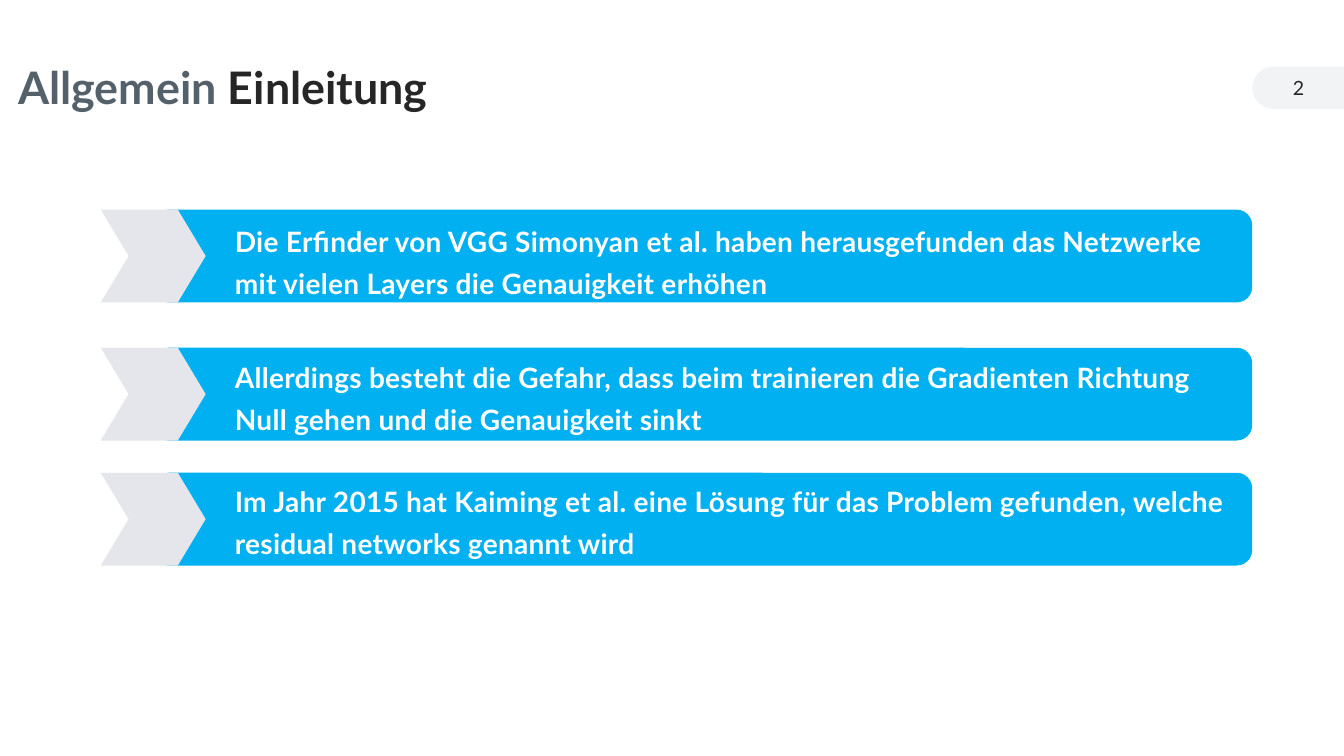
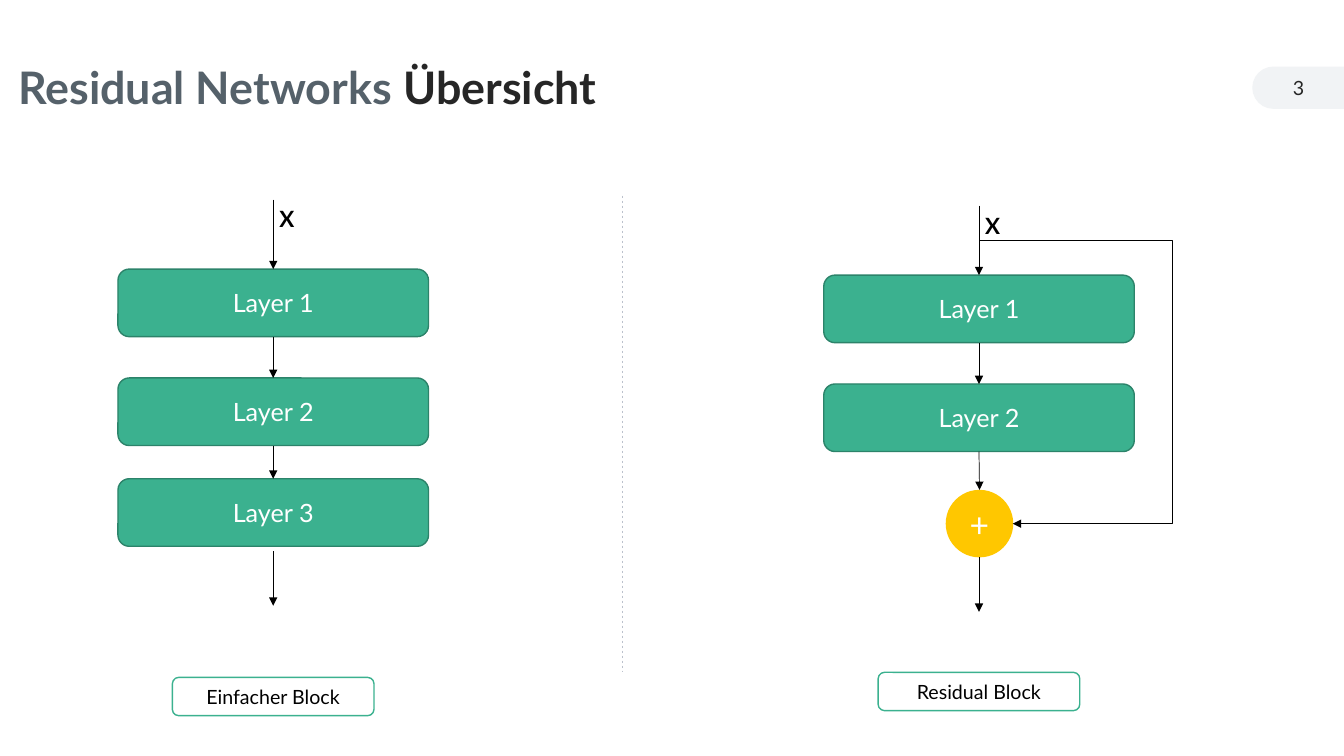
from dataclasses import dataclass

from lxml import etree
from pptx import Presentation
from pptx import util as u
from pptx.dml.color import RGBColor
from pptx.enum import dml, shapes, text
from pptx.oxml import ns

Kind = shapes.MSO_SHAPE
Anchor = text.MSO_ANCHOR
Align = text.PP_ALIGN


@dataclass(frozen=True)
class Theme:
    font: str = "Lato"
    # Colours
    white: str = "FFFFFF"
    black: str = "000000"
    ink: str = "262626"
    slate: str = "55616A"
    tab: str = "F1F3F5"
    bar: str = "00B0F0"
    chevron: str = "E4E6EB"
    layer: str = "3BB18F"
    layer_edge: str = "2C836A"
    plus: str = "FFC700"
    divider: str = "BBC1CC"
    # Type sizes
    title_size: int = 32
    plus_size: int = 24
    bar_size: int = 20
    layer_size: int = 18
    input_size: int = 16
    small_size: int = 14


def rgb(value):
    return RGBColor.from_string(value)


class SlideBuilder:
    """Holds the theme, the deck and the current page."""

    def __init__(self, theme):
        self.theme = theme
        self.deck = Presentation()
        self.deck.slide_width = u.Inches(13.33)
        self.deck.slide_height = u.Inches(7.5)
        self.page = None

    def new_page(self, number, topic, heading):
        theme = self.theme
        self.page = self.deck.slides.add_slide(self.deck.slide_layouts[6])
        # Page number tab, rounded on its left side only
        tab = self.shape(Kind.ROUND_2_SAME_RECTANGLE, 12.67, 0.41, 0.42, 0.92,
                         theme.tab, adjustments=(0.5, 0))
        tab.rotation = 270
        self.text_box(12.42, 0.67, 0.92, 0.4, [(str(number), theme.ink)],
                      theme.small_size, align=Align.CENTER)
        # Two-tone title
        self.text_box(0.18, 0.45, 8.65, 0.88,
                      [(topic + " ", theme.slate), (heading, theme.ink)],
                      theme.title_size, bold=True, spacing=0.9)

    def set_text(self, box, spans, size, bold=False, align=Align.LEFT,
                 spacing=1.0, tracking=None):
        frame = box.text_frame
        frame.word_wrap = True
        frame.vertical_anchor = Anchor.MIDDLE
        para = frame.paragraphs[0]
        para.alignment = align
        para.line_spacing = spacing
        font_format = {"name": self.theme.font, "size": u.Pt(size), "bold": bold}
        for words, colour in spans:
            span = para.add_run()
            span.text = words
            for name, value in font_format.items():
                setattr(span.font, name, value)
            span.font.color.rgb = rgb(colour)
            if tracking:
                span.font._element.set("spc", str(round(tracking * 100)))

    def text_box(self, left, top, width, height, spans, size, **style):
        box = self.page.shapes.add_textbox(
            *map(u.Inches, (left, top, width, height)))
        margins = {"margin_left": 0, "margin_right": 0,
                   "margin_top": 0.05, "margin_bottom": 0.05}
        for name, value in margins.items():
            setattr(box.text_frame, name, u.Inches(value))
        self.set_text(box, spans, size, **style)
        return box

    def shape(self, kind, left, top, width, height, fill, edge=None,
              adjustments=()):
        box = self.page.shapes.add_shape(
            kind, *map(u.Inches, (left, top, width, height)))
        box.shadow.inherit = False
        box.fill.solid()
        box.fill.fore_color.rgb = rgb(fill)
        if edge:
            box.line.color.rgb = rgb(edge)
            box.line.width = u.Pt(1)
        else:
            box.line.fill.background()
        for index, value in enumerate(adjustments):
            box.adjustments[index] = value
        return box

    def label(self, kind, left, top, width, height, words, size, fill,
              colour, edge=None):
        box = self.shape(kind, left, top, width, height, fill, edge)
        self.set_text(box, [(words, colour)], size, align=Align.CENTER)
        return box

    def line(self, start, end, colour, kind=shapes.MSO_CONNECTOR.STRAIGHT):
        line = self.page.shapes.add_connector(
            kind, *map(u.Inches, (*start, *end)))
        line.line.color.rgb = rgb(colour)
        line.line.width = u.Pt(0.5)
        etree.SubElement(line._element.spPr, ns.qn("a:effectLst"))
        return line

    def arrow(self, start, end, **options):
        arrow = self.line(start, end, self.theme.black, **options)
        outline = arrow._element.spPr.find(ns.qn("a:ln"))
        etree.SubElement(outline, ns.qn("a:tailEnd"), type="triangle")
        return arrow

    def divider(self, x, top, bottom):
        line = self.line((x, top), (x, bottom), self.theme.divider)
        line.line.dash_style = dml.MSO_LINE.DASH

    def bar(self, top, text_top, words):
        theme = self.theme
        self.shape(Kind.ROUNDED_RECTANGLE, 1.52, top, 10.9, 0.92, theme.bar)
        self.shape(Kind.CHEVRON, 1, top, 1.04, 0.92, theme.chevron,
                   adjustments=(0.3,))
        self.text_box(2.33, text_top, 9.86, 0.94, [(words, theme.white)],
                      theme.bar_size, bold=True, spacing=1.25, tracking=0.2)

    def layer(self, centre, top, number):
        theme = self.theme
        return self.label(Kind.ROUNDED_RECTANGLE, centre - 1.54, top, 3.08, 0.67,
                          f"Layer {number}", theme.layer_size, theme.layer,
                          theme.white, theme.layer_edge)

    def plus(self, centre, top):
        theme = self.theme
        return self.label(Kind.OVAL, centre - 0.33, top, 0.67, 0.67, "+",
                          theme.plus_size, theme.plus, theme.white)

    def block(self, centre, top, steps, exit_top, caption, caption_top):
        """Input arrow, linked steps, output arrow and caption."""
        theme = self.theme
        self.arrow((centre, top), (centre, top + 0.69)).end_connect(steps[0], 0)
        for upper, lower in zip(steps, steps[1:]):
            link = self.arrow((centre, top), (centre, top + 1))
            link.begin_connect(upper, 2)
            link.end_connect(lower, 0)
        self.arrow((centre, exit_top), (centre, exit_top + 0.54))
        self.text_box(centre + 0.06, top - 0.04, 0.54, 0.4, [("X", theme.black)],
                      theme.input_size, bold=True, spacing=1.25, tracking=0.2)
        self.label(Kind.ROUNDED_RECTANGLE, centre - 1, caption_top, 2, 0.38,
                   caption, theme.small_size, theme.white, theme.black,
                   theme.layer)

    def shortcut(self):
        """Skip connection around the layers, with three bends."""
        arrow = self.arrow((11.32, 3.59), (8.44, 3.92),
                           kind=shapes.MSO_CONNECTOR.ELBOW)
        properties = arrow._element.spPr
        properties.find(ns.qn("a:xfrm")).set("rot", str(270 * 60000))
        geometry = properties.find(ns.qn("a:prstGeom"))
        geometry.set("prst", "bentConnector4")
        guides = geometry.find(ns.qn("a:avLst"))
        for name, value in {"adj1": 2500, "adj2": 580900}.items():
            etree.SubElement(guides, ns.qn("a:gd"), name=name,
                             fmla=f"val {value}")


def main():
    builder = SlideBuilder(Theme())

    # Introduction
    builder.new_page(2, "Allgemein", "Einleitung")
    statements = (
        (2.08, 2.09, "Die Erfinder von VGG Simonyan et al. haben herausgefunden "
                     "das Netzwerke mit vielen Layers die Genauigkeit erhöhen"),
        (3.45, 3.44, "Allerdings besteht die Gefahr, dass beim trainieren die "
                     "Gradienten Richtung Null gehen und die Genauigkeit sinkt"),
        (4.69, 4.67, "Im Jahr 2015 hat Kaiming et al. eine Lösung für das Problem "
                     "gefunden, welche residual networks genannt wird"),
    )
    for statement in statements:
        builder.bar(*statement)

    # Plain block beside residual block
    builder.new_page(3, "Residual Networks", "Übersicht")
    plain, residual = 2.71, 9.71
    plain_steps = [builder.layer(plain, top, number)
                   for number, top in enumerate((2.67, 3.75, 4.75), 1)]
    builder.block(plain, 1.98, plain_steps, 5.47, "Einfacher Block", 6.72)

    residual_steps = [builder.layer(residual, top, number)
                      for number, top in enumerate((2.73, 3.81), 1)]
    residual_steps.append(builder.plus(residual, 4.86))
    builder.block(residual, 2.04, residual_steps, 5.53, "Residual Block", 6.67)
    builder.shortcut()
    builder.divider(6.17, 1.94, 6.67)

    builder.deck.save("out.pptx")


if __name__ == "__main__":
    main()
